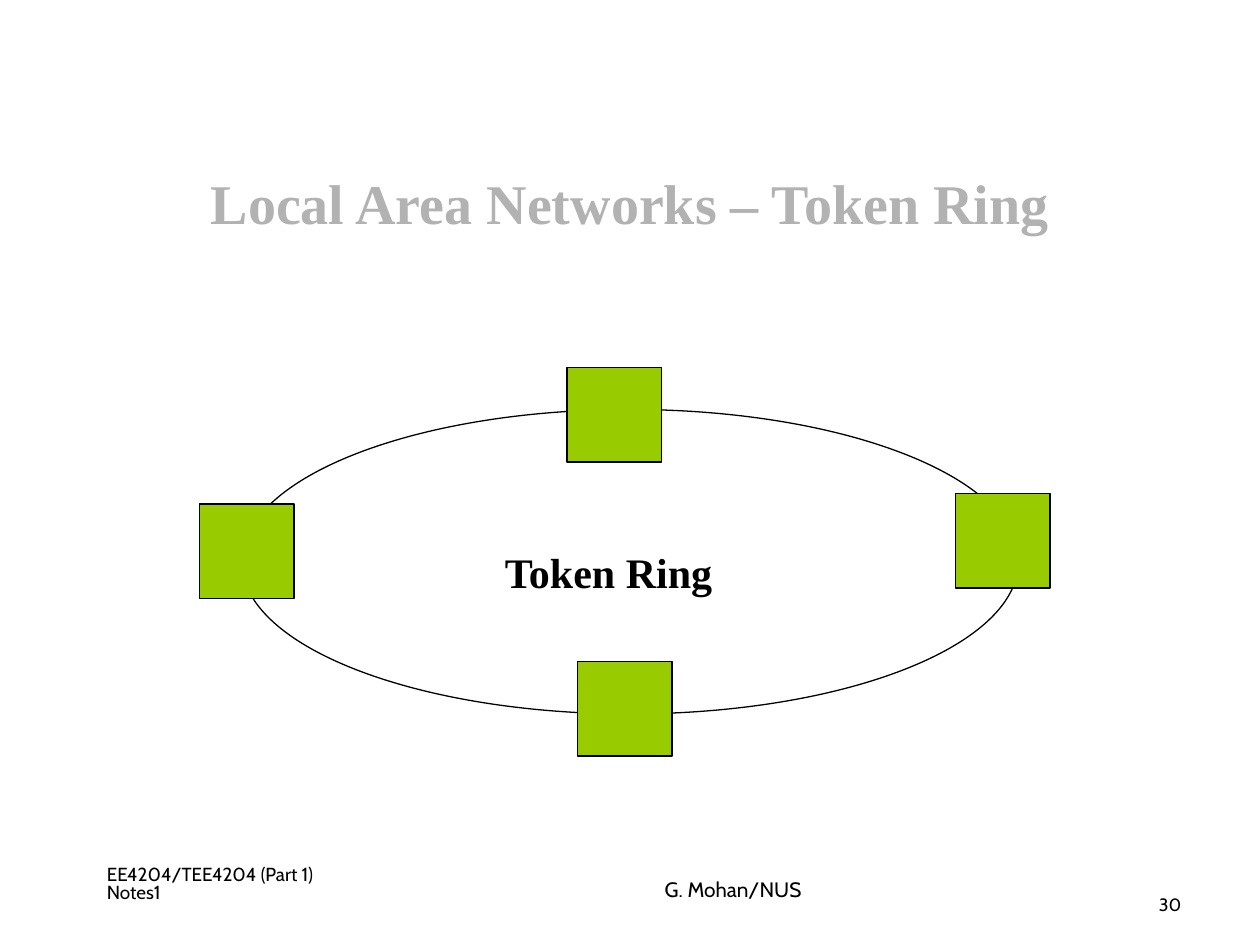
from dataclasses import dataclass

from pptx import Presentation
from pptx.dml.color import RGBColor
from pptx.enum.shapes import MSO_SHAPE as Preset
from pptx.enum.text import PP_ALIGN as Align
from pptx.slide import Slide
from pptx.util import Inches, Pt

COLUMNS, ROWS = 120, 90
WIDTH, HEIGHT = Inches(10), Inches(7.5)


def color(value):
    return RGBColor.from_string(value)


@dataclass
class RingSlide:
    """Draws styled elements on a grid of 120 columns by 90 rows."""

    slide: Slide
    ink: str = "000000"
    station_fill: str = "99CC00"
    heading_font: str = "Times New Roman"
    footer_font: str = "Cabin"

    def place(self, column, row, columns, rows):
        return (round(column * WIDTH / COLUMNS), round(row * HEIGHT / ROWS),
                round(columns * WIDTH / COLUMNS), round(rows * HEIGHT / ROWS))

    def outline(self, preset, area, fill=None):
        shape = self.slide.shapes.add_shape(preset, *self.place(*area))
        shape.shadow.inherit = False
        if fill:
            shape.fill.solid()
            shape.fill.fore_color.rgb = color(fill)
        else:
            shape.fill.background()
        shape.line.color.rgb = color(self.ink)
        shape.line.width = Pt(0.75)

    def ring(self, *area):
        self.outline(Preset.OVAL, area)

    def station(self, column, row, side=9):
        self.outline(Preset.RECTANGLE, (column, row, side, side), self.station_fill)

    def text(self, words, area, font, size, ink, bold=False, align=Align.LEFT, spacing=1.0):
        frame = self.slide.shapes.add_textbox(*self.place(*area)).text_frame
        frame.word_wrap = True
        paragraph = frame.paragraphs[0]
        paragraph.text = words
        paragraph.alignment = align
        paragraph.line_spacing = spacing
        paragraph.font.name = font
        paragraph.font.size = Pt(size)
        paragraph.font.bold = bold
        paragraph.font.color.rgb = color(ink)

    def heading(self, words, area, size, ink=None):
        self.text(words, area, self.heading_font, size, ink or self.ink, bold=True)

    def footer(self, words, area, size, spacing=0.9, align=Align.LEFT):
        self.text(words, area, self.footer_font, size, self.ink, align=align, spacing=spacing)


def main():
    presentation = Presentation()
    presentation.slide_width, presentation.slide_height = WIDTH, HEIGHT
    page = RingSlide(presentation.slides.add_slide(presentation.slide_layouts[6]))

    page.ring(23, 39, 74, 29)
    for column, row in ((19, 48), (55, 63), (91, 47), (54, 35)):
        page.station(column, row)

    page.heading("Local Area Networks – Token Ring", (18.9, 15.5, 87, 7.6), 32, "B2B2B2")
    page.heading("Token Ring", (46.9, 51.5, 36, 6), 24)

    page.footer("EE4204/TEE4204 (Part 1) Notes1", (9, 82, 25, 6), 10.8, spacing=0.8)
    page.footer("G. Mohan/NUS", (39.5, 83.2, 38, 3.8), 11.9, align=Align.RIGHT)
    page.footer("30", (109.2, 84.8, 8.9, 3.6), 10.2)

    presentation.save("out.pptx")


if __name__ == "__main__":
    main()
